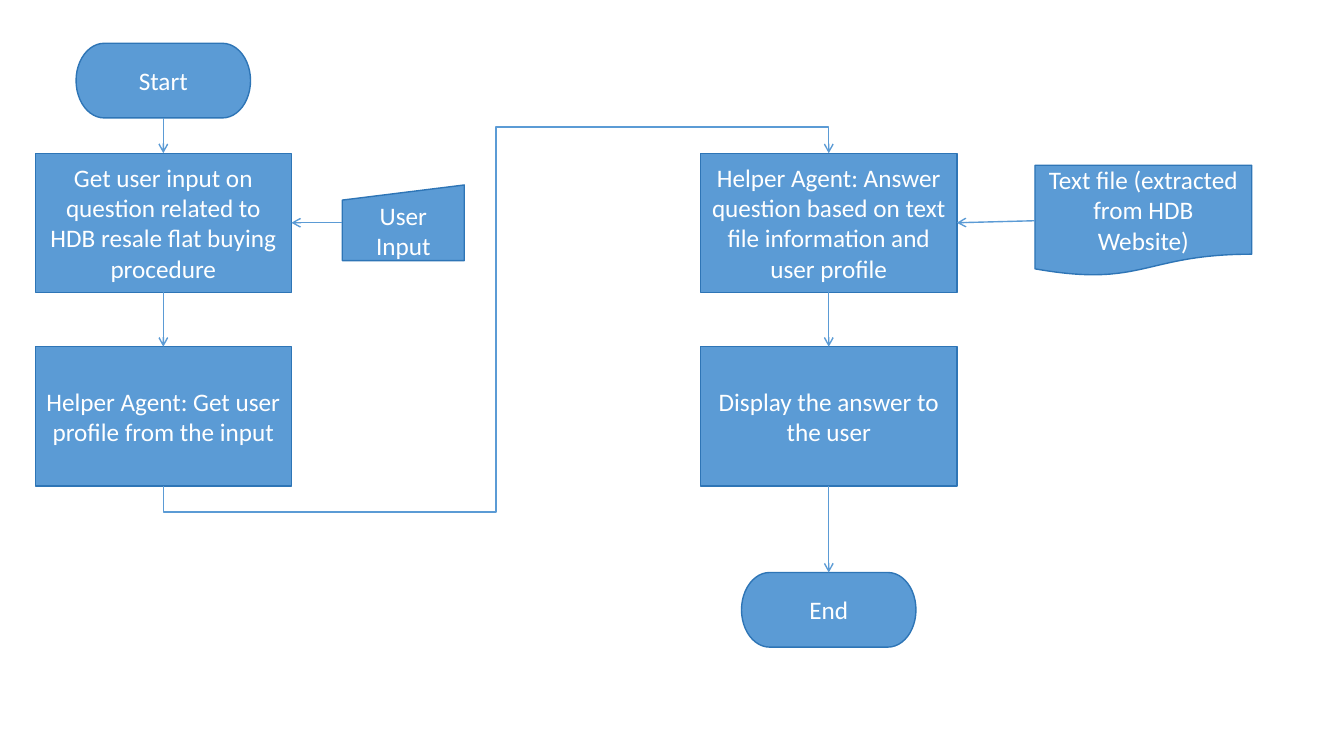
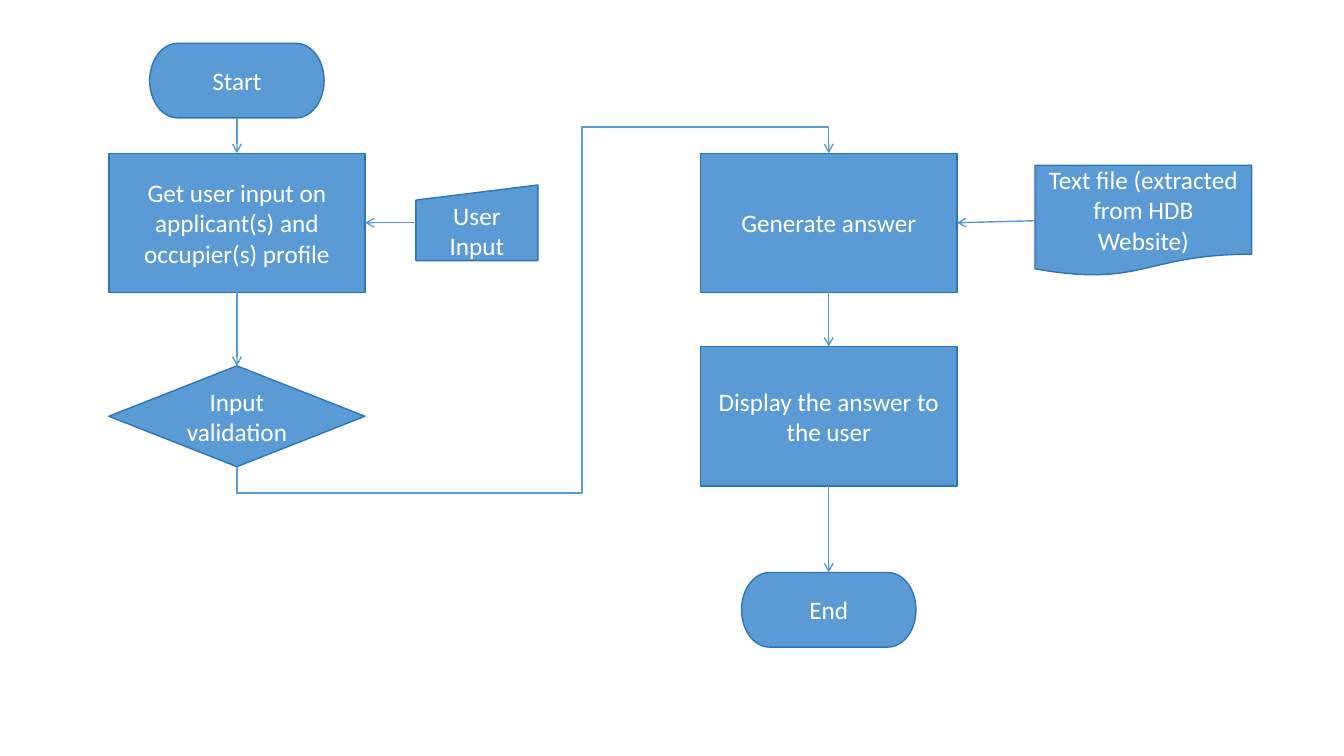
from pptx import Presentation
from pptx.dml.color import RGBColor
from pptx.enum.shapes import MSO_CONNECTOR, MSO_SHAPE
from pptx.enum.text import MSO_ANCHOR, PP_ALIGN
from pptx.oxml.ns import qn
from pptx.util import Inches, Pt
from lxml import etree

BLUE = RGBColor(0x5B, 0x9B, 0xD5)
DARK_BLUE = RGBColor(0x2E, 0x75, 0xB6)
WHITE = RGBColor(0xFF, 0xFF, 0xFF)
FONT = "Calibri"

TERMINATOR = MSO_SHAPE.FLOWCHART_TERMINATOR
PROCESS = MSO_SHAPE.FLOWCHART_PROCESS
MANUAL_INPUT = MSO_SHAPE.FLOWCHART_MANUAL_INPUT
DOCUMENT = MSO_SHAPE.FLOWCHART_DOCUMENT
DECISION = MSO_SHAPE.DIAMOND
STRAIGHT, ELBOW = MSO_CONNECTOR.STRAIGHT, MSO_CONNECTOR.ELBOW
TOP, LEFT, BOTTOM, RIGHT = range(4)  # connection sites

SIZES = {
    TERMINATOR: (1.73, 0.74),
    PROCESS: (2.54, 1.38),
    MANUAL_INPUT: (1.21, 0.75),
    DOCUMENT: (2.15, 1.1),
    DECISION: (2.54, 1),
}

# Centres of columns and rows, in inches
RIGHT_COLUMN = 8.22
DOCUMENT_COLUMN = 11.34
INPUT_OFFSET = 2.38
START_ROW, FIRST_ROW, SECOND_ROW, END_ROW = 0.8, 2.21, 4.13, 6.05
DOCUMENT_ROW = 2.19
DETOUR = 0.26  # how far the elbow runs past the shapes it joins

FLOWCHARTS = [
    {
        "left_column": 1.62,
        "elbow_x": 4.92,
        "question": "Get user input on question related to HDB resale flat buying procedure",
        "check": (PROCESS, "Helper Agent: Get user profile from the input"),
        "answer": "Helper Agent: Answer question based on text file information and user profile",
    },
    {
        "left_column": 2.35,
        "elbow_x": 5.77,
        "question": "Get user input on applicant(s) and occupier(s) profile",
        "check": (DECISION, "Input validation"),
        "answer": "Generate answer",
    },
]

ARROWS = [
    ("start", BOTTOM, "question", TOP),
    ("input", LEFT, "question", RIGHT),
    ("question", BOTTOM, "check", TOP),
    ("document", LEFT, "answer", RIGHT),
    ("answer", BOTTOM, "display", TOP),
    ("display", BOTTOM, "end", TOP),
]


def add_node(slide, kind, center_x, center_y, text):
    width, height = SIZES[kind]
    shape = slide.shapes.add_shape(
        kind, Inches(center_x - width / 2), Inches(center_y - height / 2),
        Inches(width), Inches(height))
    shape.shadow.inherit = False
    shape.fill.solid()
    shape.fill.fore_color.rgb = BLUE
    shape.line.color.rgb = DARK_BLUE
    shape.line.width = Pt(1)
    frame = shape.text_frame
    frame.word_wrap = True
    frame.vertical_anchor = MSO_ANCHOR.MIDDLE
    paragraph = frame.paragraphs[0]
    paragraph.text = text
    paragraph.alignment = PP_ALIGN.CENTER
    paragraph.font.name = FONT
    paragraph.font.size = Pt(18)
    paragraph.font.color.rgb = WHITE
    return shape


def add_arrow(slide, kind, source, source_site, target, target_site):
    connector = slide.shapes.add_connector(kind, 0, 0, 0, 0)
    connector.begin_connect(source, source_site)
    connector.end_connect(target, target_site)
    connector.line.color.rgb = BLUE
    connector.line.width = Pt(1)
    line = connector.line._get_or_add_ln()
    etree.SubElement(line, qn("a:tailEnd"), type="arrow")
    etree.SubElement(connector._element.spPr, qn("a:effectLst"))
    return connector


def add_detour_arrow(slide, source, target, elbow_x):
    """Join the bottom of source to the top of target by way of elbow_x."""
    connector = add_arrow(slide, ELBOW, source, BOTTOM, target, TOP)
    start_x, start_y = connector.begin_x, connector.begin_y
    run, rise = connector.end_x - start_x, start_y - connector.end_y
    # The five-part elbow starts sideways, so it is laid out a quarter turn round.
    properties = connector._element.spPr
    transform = properties.find(qn("a:xfrm"))
    transform.attrib.clear()
    transform.set("rot", str(270 * 60000))
    connector.left = int(start_x + (run - rise) / 2)
    connector.top = int(start_y - (rise + run) / 2)
    connector.width, connector.height = rise, run

    geometry = properties.find(qn("a:prstGeom"))
    geometry.set("prst", "bentConnector5")
    adjustments = geometry.find(qn("a:avLst"))
    overshoot = Inches(DETOUR) / rise
    ratios = (-overshoot, (Inches(elbow_x) - start_x) / run, 1 + overshoot)
    for number, ratio in enumerate(ratios, 1):
        etree.SubElement(adjustments, qn("a:gd"), name=f"adj{number}",
                         fmla=f"val {round(ratio * 100000)}")


def add_flowchart(slide, chart):
    left = chart["left_column"]
    check_kind, check_text = chart["check"]
    nodes = {
        "start": (TERMINATOR, left, START_ROW, "Start"),
        "question": (PROCESS, left, FIRST_ROW, chart["question"]),
        "input": (MANUAL_INPUT, left + INPUT_OFFSET, FIRST_ROW, "User Input"),
        "check": (check_kind, left, SECOND_ROW, check_text),
        "answer": (PROCESS, RIGHT_COLUMN, FIRST_ROW, chart["answer"]),
        "document": (DOCUMENT, DOCUMENT_COLUMN, DOCUMENT_ROW,
                     "Text file (extracted from HDB Website)"),
        "display": (PROCESS, RIGHT_COLUMN, SECOND_ROW, "Display the answer to the user"),
        "end": (TERMINATOR, RIGHT_COLUMN, END_ROW, "End"),
    }
    shapes = {name: add_node(slide, *node) for name, node in nodes.items()}
    for source, source_site, target, target_site in ARROWS:
        add_arrow(slide, STRAIGHT, shapes[source], source_site, shapes[target], target_site)
    add_detour_arrow(slide, shapes["check"], shapes["answer"], chart["elbow_x"])


def main():
    presentation = Presentation()
    presentation.slide_width = Inches(13.33)
    presentation.slide_height = Inches(7.5)
    for chart in FLOWCHARTS:
        slide = presentation.slides.add_slide(presentation.slide_layouts[6])
        add_flowchart(slide, chart)
    presentation.save("out.pptx")


if __name__ == "__main__":
    main()
